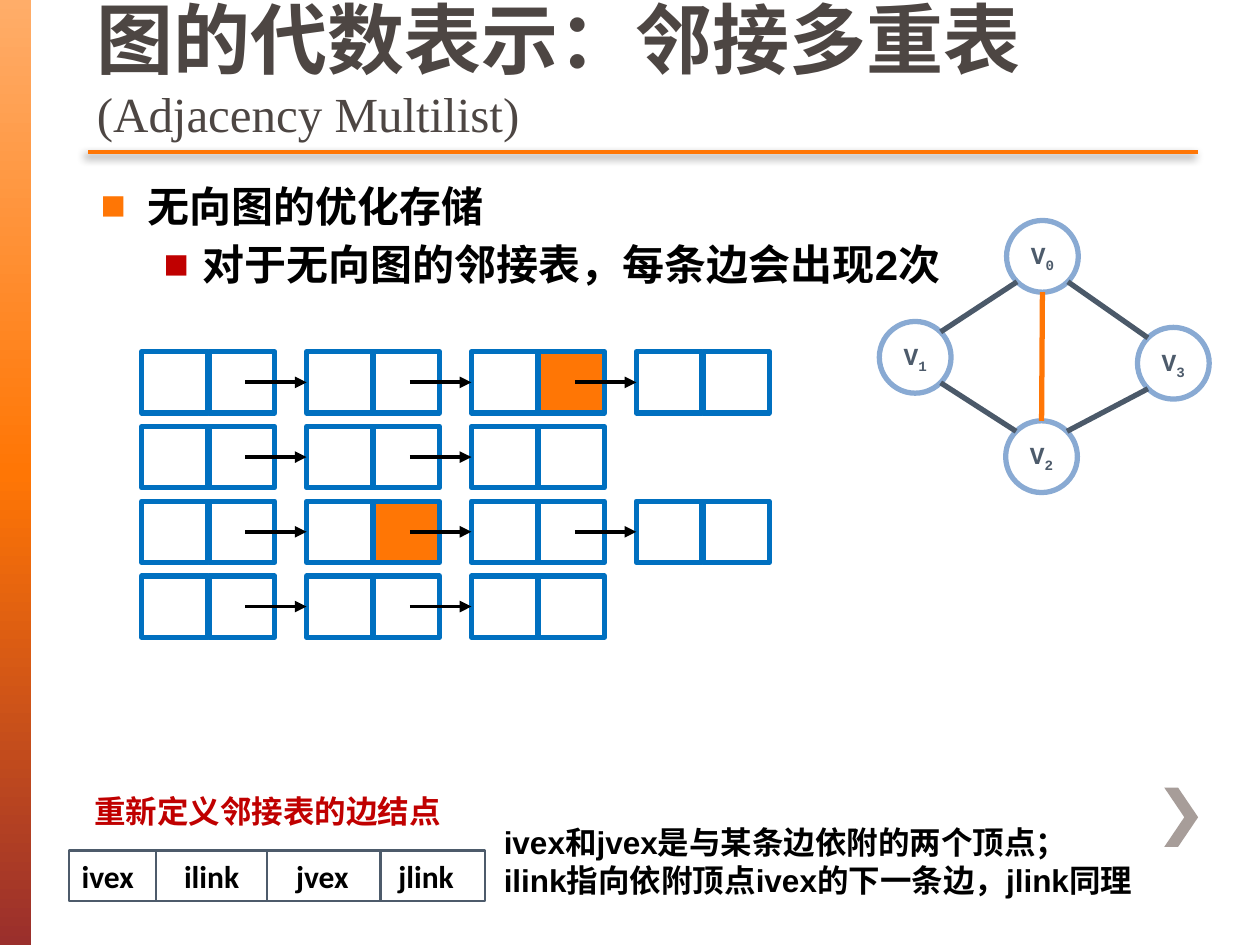
from lxml import etree
from pptx import Presentation
from pptx.dml.color import RGBColor
from pptx.enum.shapes import MSO_CONNECTOR, MSO_SHAPE
from pptx.enum.text import MSO_ANCHOR, MSO_AUTO_SIZE, PP_ALIGN
from pptx.oxml import parse_xml
from pptx.oxml.ns import nsdecls, qn
from pptx.util import Pt

RECT, OVAL = MSO_SHAPE.RECTANGLE, MSO_SHAPE.OVAL
STRAIGHT = MSO_CONNECTOR.STRAIGHT
TOP, MIDDLE, BOTTOM = MSO_ANCHOR.TOP, MSO_ANCHOR.MIDDLE, MSO_ANCHOR.BOTTOM
LEFT, CENTER = PP_ALIGN.LEFT, PP_ALIGN.CENTER

COLORS = {
    "black": "000000", "white": "FFFFFF", "orange": "FF7605", "red": "C00000",
    "title": "4D4643", "chevron": "A79D99", "cell": "0070C0",
    "ring": "89AAD3", "slate": "4D5B6B", "edge": "4B5969",
}
BAR_STOPS = [(0, "FFAD69"), (50, "FF7605"), (100, "9A2F2C")]

# Adjacency lists: number of nodes, and the node whose link cell is marked
LISTS = [(4, 2), (3, None), (4, 1), (3, None)]
LIST_LEFT, LIST_TOP, NODE_PITCH, ROW_PITCH = 81, 201, 94.2, 42.7
CELL_W, CELL_H, LINK_OFFSET = 37.6, 35, 38.4

# Graph: vertex centres, and edges with the direction in which each leaves
RADIUS = 20.5
VERTICES = {"0": (595.7, 146.5), "1": (523, 204.2),
            "3": (670.5, 207.6), "2": (595.2, 261)}
DIAGONAL = 0.71
EDGES = [
    ("0", (0, 1), "2", (0, -1), "orange"),
    ("0", (-DIAGONAL, DIAGONAL), "1", (DIAGONAL, -DIAGONAL), "edge"),
    ("0", (DIAGONAL, DIAGONAL), "3", (-DIAGONAL, -DIAGONAL), "edge"),
    ("2", (-DIAGONAL, -DIAGONAL), "1", (DIAGONAL, DIAGONAL), "edge"),
    ("3", (-DIAGONAL, DIAGONAL), "2", (DIAGONAL, -DIAGONAL), "edge"),
]


def rgb(name):
    return RGBColor.from_string(COLORS[name])


def add_box(slide, kind, x, y, w, h, fill=None, line=None, weight=3):
    box = slide.shapes.add_shape(kind, Pt(x), Pt(y), Pt(w), Pt(h))
    box.shadow.inherit = False
    if fill:
        box.fill.solid()
        box.fill.fore_color.rgb = rgb(fill)
    else:
        box.fill.background()
    if line:
        box.line.color.rgb = rgb(line)
        box.line.width = Pt(weight)
    else:
        box.line.fill.background()
    return box


def add_line(slide, x1, y1, x2, y2, color, weight):
    line = slide.shapes.add_connector(STRAIGHT, Pt(x1), Pt(y1), Pt(x2), Pt(y2))
    line.line.color.rgb = rgb(color)
    line.line.width = Pt(weight)
    etree.SubElement(line._element.spPr, qn("a:effectLst"))
    return line


def style_font(font, size, name, color, bold=True):
    font.size, font.name, font.bold = Pt(size), name, bold
    font.color.rgb = rgb(color)
    latin = font._element.find(qn("a:latin"))
    latin.addnext(parse_xml(f'<a:ea {nsdecls("a")} typeface="{name}"/>'))


def add_text(slide, x, y, w, h, lines, size, color):
    frame = slide.shapes.add_textbox(Pt(x), Pt(y), Pt(w), Pt(h)).text_frame
    frame.word_wrap = True
    frame.text = "\n".join(lines)
    for paragraph in frame.paragraphs:
        style_font(paragraph.font, size, "Arial", color)
    return frame


def add_bullet(paragraph, margin, indent, color):
    props = paragraph._p.get_or_add_pPr()
    props.set("marL", str(Pt(margin)))
    props.set("indent", str(Pt(indent)))
    for xml in (f'<a:buClr {nsdecls("a")}><a:srgbClr val="{COLORS[color]}"/></a:buClr>',
                f'<a:buFont {nsdecls("a")} typeface="Arial"/>',
                f'<a:buChar {nsdecls("a")} char="■"/>'):
        # Bullet elements stand before the paragraph's default font
        props.insert(len(props.findall("*")) - 1, parse_xml(xml))


def add_decoration(slide):
    # Gradient side bar
    bar = add_box(slide, RECT, 0, 0, 18, 540)
    stops = "".join(f'<a:gs pos="{pos * 1000}"><a:srgbClr val="{color}"/></a:gs>'
                    for pos, color in BAR_STOPS)
    plain = bar._element.spPr.find(qn("a:noFill"))
    plain.getparent().replace(plain, parse_xml(
        f'<a:gradFill {nsdecls("a")}><a:gsLst>{stops}</a:gsLst>'
        '<a:lin ang="5400000" scaled="0"/></a:gradFill>'))
    # Chevron
    builder = slide.shapes.build_freeform(Pt(673.2), Pt(450), scale=1.0)
    builder.add_line_segments(
        [(Pt(x), Pt(y)) for x, y in [(665.3, 450), (676.8, 467), (665.3, 484),
                                     (673.2, 484), (684.7, 467)]], close=True)
    chevron = builder.convert_to_shape()
    chevron.shadow.inherit = False
    chevron.fill.solid()
    chevron.fill.fore_color.rgb = rgb("chevron")
    chevron.line.fill.background()
    # Shadowed rule under the title
    rule = add_line(slide, 50.4, 87, 684.7, 87, "orange", 2.5)
    rule._element.spPr.find(qn("a:effectLst")).append(parse_xml(
        f'<a:outerShdw {nsdecls("a")} blurRad="{Pt(5)}" dist="{Pt(3)}" dir="8100000" '
        'algn="tl" rotWithShape="0"><a:srgbClr val="000000"><a:alpha val="45000"/>'
        '</a:srgbClr></a:outerShdw>'))


def add_title(slide):
    title = slide.shapes.title
    title.left, title.top, title.width, title.height = Pt(48.2), Pt(3.6), Pt(651), Pt(81.4)
    frame = title.text_frame
    frame.auto_size, frame.vertical_anchor = MSO_AUTO_SIZE.NONE, BOTTOM
    paragraph = frame.paragraphs[0]
    paragraph.alignment = LEFT
    chinese = paragraph.add_run()
    chinese.text = "图的代数表示：邻接多重表"
    style_font(chinese.font, 44, "Noto Sans CJK SC", "title")
    paragraph.add_line_break()
    english = paragraph.add_run()
    english.text = "(Adjacency Multilist)"
    style_font(english.font, 28, "Times New Roman", "title", bold=False)


def add_graph(slide):
    for number, (x, y) in VERTICES.items():
        vertex = add_box(slide, OVAL, x - RADIUS, y - RADIUS, 2 * RADIUS, 2 * RADIUS,
                         "white", "ring")
        frame = vertex.text_frame
        frame.word_wrap, frame.vertical_anchor = False, MIDDLE
        paragraph = frame.paragraphs[0]
        paragraph.alignment = CENTER
        style_font(paragraph.font, 14, "Courier New", "slate")
        paragraph.add_run().text = "V"
        subscript = paragraph.add_run()
        subscript.text = number
        subscript.font._element.set("baseline", "-25000")
    for start, (dx1, dy1), end, (dx2, dy2), color in EDGES:
        (x1, y1), (x2, y2) = VERTICES[start], VERTICES[end]
        add_line(slide, x1 + dx1 * RADIUS, y1 + dy1 * RADIUS,
                 x2 + dx2 * RADIUS, y2 + dy2 * RADIUS, color, 3)


def add_adjacency_list(slide, row, count, marked):
    y = LIST_TOP + row * ROW_PITCH
    for node in range(count):
        x = LIST_LEFT + node * NODE_PITCH
        vertex_cell = add_box(slide, RECT, x, y, CELL_W, CELL_H, line="cell")
        add_box(slide, RECT, x + LINK_OFFSET, y, CELL_W, CELL_H,
                "orange" if node == marked else None, "cell")
        if node:
            middle = y + CELL_H / 2
            link_x = x - NODE_PITCH + LINK_OFFSET + CELL_W * 0.55
            arrow = add_line(slide, link_x, middle, x, middle, "black", 2.25)
            arrow.end_connect(vertex_cell, 1)
            arrow.line._get_or_add_ln().append(
                parse_xml(f'<a:tailEnd {nsdecls("a")} type="triangle"/>'))


def add_edge_node(slide):
    record = add_box(slide, RECT, 39.6, 486, 237.6, 29, "white", "slate", 1.25)
    frame = record.text_frame
    frame.vertical_anchor = TOP
    frame.text = "ivex\tilink\tjvex\tjlink"
    paragraph = frame.paragraphs[0]
    paragraph.alignment = LEFT
    tabs = "".join(f'<a:tab pos="{Pt(stop)}" algn="l"/>' for stop in (58.5, 122.5, 181))
    paragraph._p.get_or_add_pPr().append(
        parse_xml(f'<a:tabLst {nsdecls("a")}>{tabs}</a:tabLst>'))
    style_font(paragraph.font, 18, "Calibri", "black")
    for x in (89.3, 152.6, 217.4):
        add_line(slide, x, 486, x, 515, "slate", 1.25)


def main():
    prs = Presentation()
    prs.slide_width, prs.slide_height = Pt(720), Pt(540)
    slide = prs.slides.add_slide(prs.slide_layouts[5])
    add_decoration(slide)
    add_title(slide)

    # Bulleted points
    points = add_text(slide, 50.4, 99.4, 632, 80,
                      ["无向图的优化存储", "对于无向图的邻接表，每条边会出现2次"], 24, "black")
    first, second = points.paragraphs
    add_bullet(first, 27, -27, "orange")
    add_bullet(second, 58.5, -22.5, "red")
    second.space_before = Pt(4.8)

    add_graph(slide)
    for row, (count, marked) in enumerate(LISTS):
        add_adjacency_list(slide, row, count, marked)

    # Redefined edge node and its explanation
    add_edge_node(slide)
    add_text(slide, 280.8, 466.6, 378.7, 51,
             ["ivex和jvex是与某条边依附的两个顶点；",
              "ilink指向依附顶点ivex的下一条边，jlink同理"], 18, "black")
    add_text(slide, 46.8, 449.3, 216, 29, ["重新定义邻接表的边结点"], 18, "red")
    prs.save("out.pptx")


if __name__ == "__main__":
    main()
